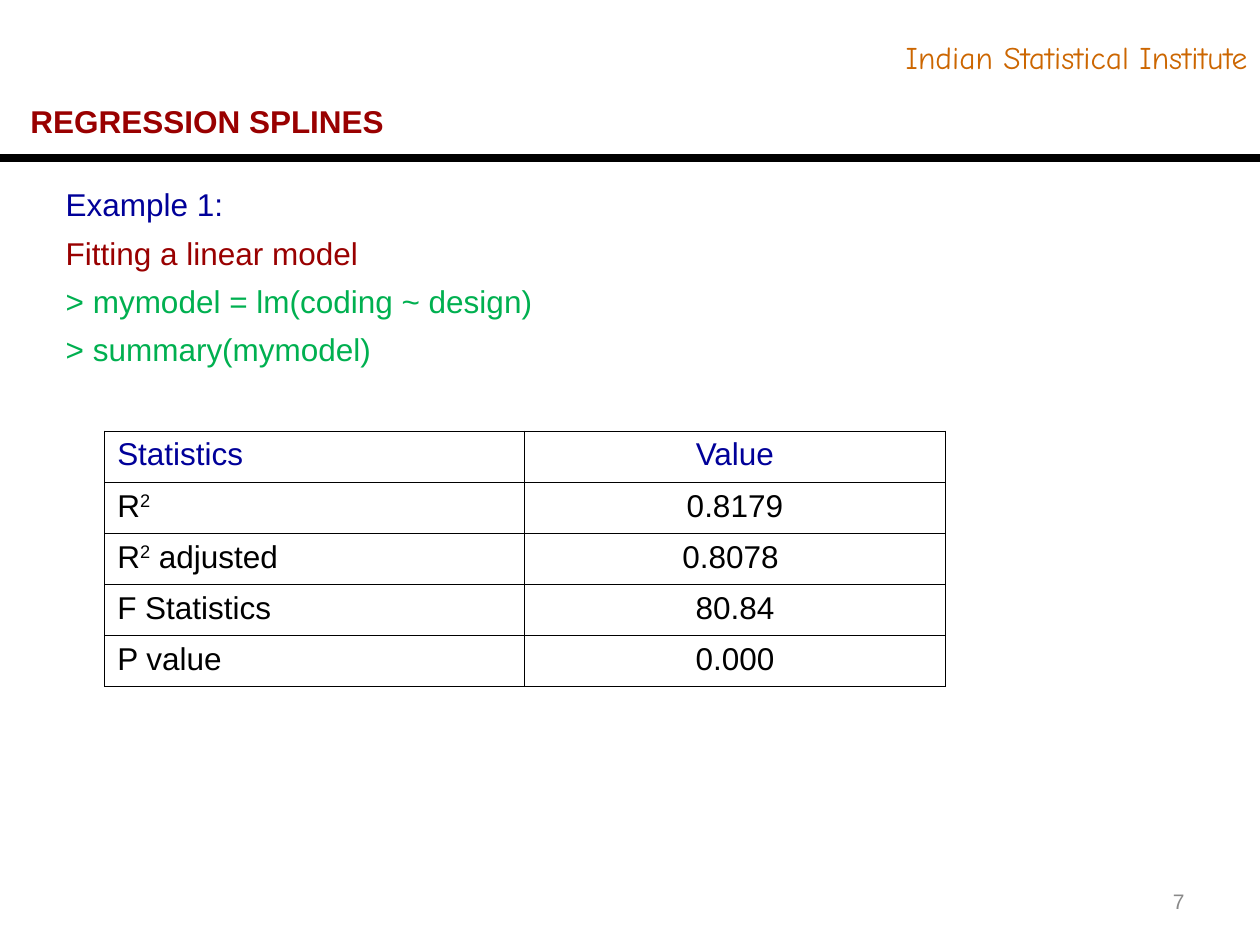
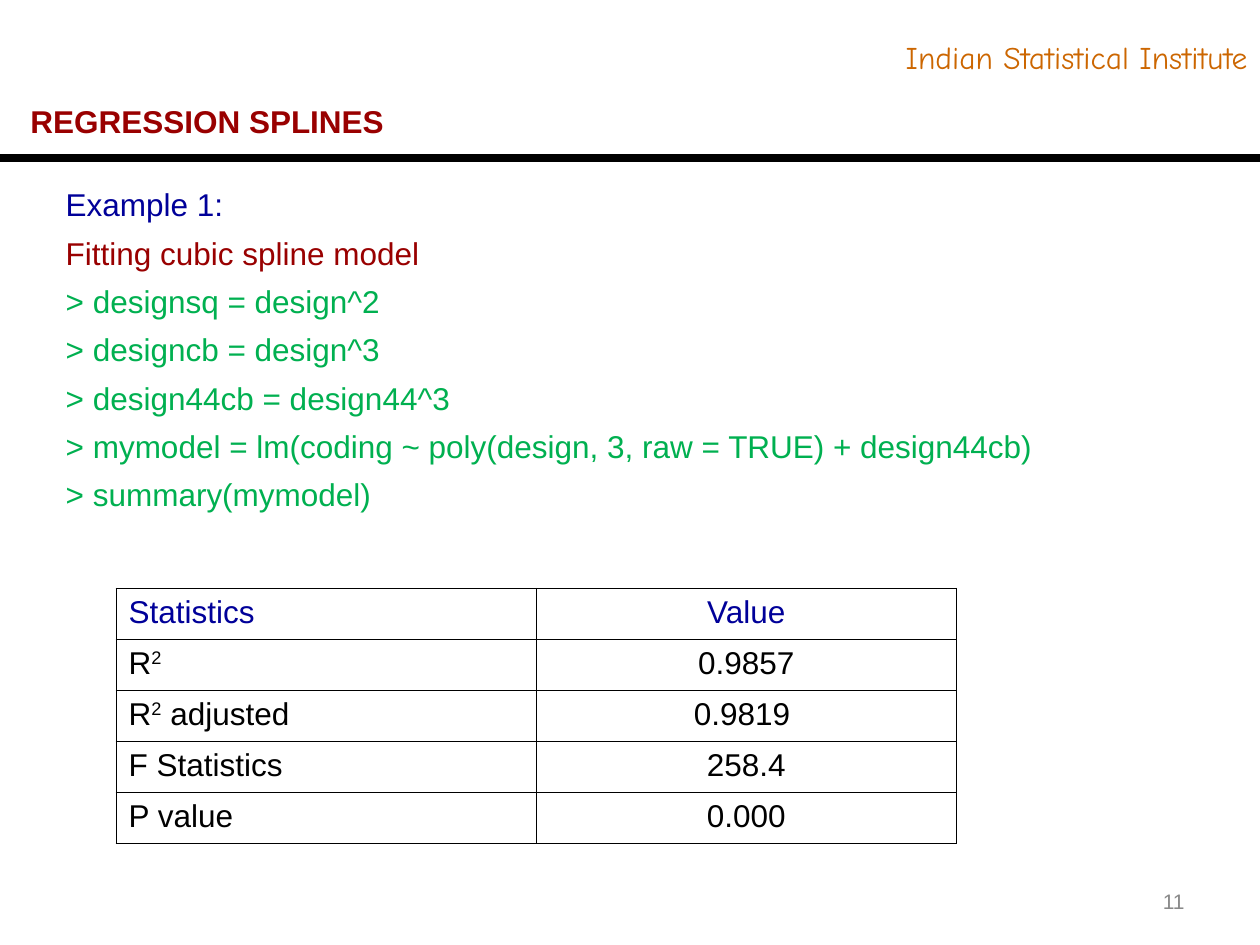
"""Build two slides on regression splines, each with R commands and a table of fit statistics."""
import pptx
import pptx.dml.color
import pptx.enum.shapes
import pptx.enum.text
import pptx.oxml.ns
import pptx.util
from dataclasses import dataclass
from lxml import etree

Cm, Pt = pptx.util.Cm, pptx.util.Pt
ALIGN = pptx.enum.text.PP_ALIGN
ANCHOR = pptx.enum.text.MSO_ANCHOR

INSTITUTE = "Indian Statistical Institute"
TITLE = "REGRESSION SPLINES"
EXAMPLE = "Example 1:"
TABLE_HEAD = ("Statistics", "Value")
# Every second part of a label is a superscript.
STATISTICS = [("R", "2"), ("R", "2", " adjusted"), ("F Statistics",), ("P value",)]

SLIDES = [
    {
        "number": 7,
        "step": "Fitting a linear model",
        "code": ["> mymodel = lm(coding ~ design)", "> summary(mymodel)"],
        "values": ["0.8179", "0.8078 ", "80.84", "0.000"],
        "body_height": 5.87,
        "table_at": (2.11, 8.69),
    },
    {
        "number": 11,
        "step": "Fitting cubic spline model",
        "code": [
            "> designsq = design^2",
            "> designcb = design^3",
            "> design44cb = design44^3",
            "> mymodel = lm(coding ~ poly(design, 3, raw = TRUE) + design44cb)",
            "> summary(mymodel)",
        ],
        "values": ["0.9857", "0.9819 ", "258.4", "0.000"],
        "body_height": 6.86,
        "table_at": (2.34, 11.86),
    },
]

SLIDE_W, SLIDE_H = 25.4, 19.05
RULE_Y = 3.18
INSTITUTE_BOX = (11.63, 0.64, 13.77, 1.02)
TITLE_BOX = (0.36, 1.93, 16.94, 1.02)
NUMBER_BOX = (18.21, 17.65, 5.92, 1.02)
BODY_LEFT, BODY_TOP, BODY_W = 1.07, 3.61, 23.19
COL_W, ROW_H = 8.47, 1.03


@dataclass(frozen=True)
class Theme:
    font: str = "Arial"
    institute_font: str = "Comic Neue"
    size: float = 18
    number_size: float = 12
    line_gap: float = 6
    rule_width: float = 4.5
    border_width: float = 0.45
    black: str = "000000"
    blue: str = "000099"
    red: str = "990000"
    green: str = "00B050"
    orange: str = "CC6600"
    grey: str = "898989"


THEME = Theme()


def rgb(color):
    return pptx.dml.color.RGBColor.from_string(color)


def format_paragraph(p, color, align=ALIGN.LEFT, size=THEME.size, font=THEME.font, bold=False):
    p.alignment = align
    for r in p.runs:
        r.font.name = font
        r.font.size = Pt(size)
        r.font.bold = bold
        r.font.color.rgb = rgb(color)


def place(sp, box, anchor=ANCHOR.TOP):
    sp.left, sp.top, sp.width, sp.height = (Cm(v) for v in box)
    tf = sp.text_frame
    tf.word_wrap = True
    tf.auto_size = pptx.enum.text.MSO_AUTO_SIZE.NONE
    tf.vertical_anchor = anchor
    return tf


def add_label(s, text, box, color, anchor=ANCHOR.TOP, **style):
    tf = place(s.shapes.add_textbox(0, 0, 0, 0), box, anchor)
    tf.text = text
    format_paragraph(tf.paragraphs[0], color, ALIGN.RIGHT, **style)


def add_frame(s, number):
    rule = s.shapes.add_connector(
        pptx.enum.shapes.MSO_CONNECTOR.STRAIGHT, 0, Cm(RULE_Y), Cm(SLIDE_W), Cm(RULE_Y))
    rule.line.color.rgb = rgb(THEME.black)
    rule.line.width = Pt(THEME.rule_width)
    etree.SubElement(rule._element.spPr, pptx.oxml.ns.qn("a:effectLst"))
    add_label(s, INSTITUTE, INSTITUTE_BOX, THEME.orange, font=THEME.institute_font)
    add_label(s, str(number), NUMBER_BOX, THEME.grey, ANCHOR.MIDDLE, size=THEME.number_size)
    tf = place(s.shapes.title, TITLE_BOX)
    tf.text = TITLE
    format_paragraph(tf.paragraphs[0], THEME.red, bold=True)


def fill_body(s, step, code, height):
    tf = place(s.placeholders[1], (BODY_LEFT, BODY_TOP, BODY_W, height))
    lines = [(EXAMPLE, THEME.blue), (step, THEME.red)] + [(c, THEME.green) for c in code]
    tf.text = "\n".join(text for text, _ in lines)
    for i, (p, (_, color)) in enumerate(zip(tf.paragraphs, lines)):
        pPr = p._p.get_or_add_pPr()
        pPr.set("marL", "0")
        pPr.set("indent", "0")
        etree.SubElement(pPr, pptx.oxml.ns.qn("a:buNone"))
        p.space_before = Pt(THEME.line_gap if i else 0)
        format_paragraph(p, color)


def set_borders(cell):
    qn = pptx.oxml.ns.qn
    tcPr = cell._tc.get_or_add_tcPr()
    for side in ("lnL", "lnR", "lnT", "lnB"):
        ln = etree.SubElement(tcPr, qn(f"a:{side}"), w=str(int(Pt(THEME.border_width))))
        fill = etree.SubElement(ln, qn("a:solidFill"))
        etree.SubElement(fill, qn("a:srgbClr"), val=THEME.black)


def fill_cell(cell, parts, color, align):
    set_borders(cell)
    cell.fill.background()
    p = cell.text_frame.paragraphs[0]
    for i, part in enumerate(parts):
        r = p.add_run()
        r.text = part
        if i % 2:
            r._r.get_or_add_rPr().set("baseline", "30000")
    format_paragraph(p, color, align)


def add_statistics(s, values, at):
    head, *rows = [[(text,) for text in TABLE_HEAD]] + [
        [label, (value,)] for label, value in zip(STATISTICS, values)]
    rows = [(head, THEME.blue)] + [(row, THEME.black) for row in rows]
    left, top = at
    table = s.shapes.add_table(len(rows), len(head), Cm(left), Cm(top),
                               Cm(COL_W * len(head)), Cm(ROW_H * len(rows))).table
    table.first_row = table.horz_banding = False
    for i, (row, color) in enumerate(rows):
        for j, (parts, align) in enumerate(zip(row, (ALIGN.LEFT, ALIGN.CENTER))):
            fill_cell(table.cell(i, j), parts, color, align)


def main():
    prs = pptx.Presentation()
    prs.slide_width, prs.slide_height = Cm(SLIDE_W), Cm(SLIDE_H)
    for content in SLIDES:
        s = prs.slides.add_slide(prs.slide_layouts[1])
        add_frame(s, content["number"])
        fill_body(s, content["step"], content["code"], content["body_height"])
        add_statistics(s, content["values"], content["table_at"])
    prs.save("out.pptx")


if __name__ == "__main__":
    main()
